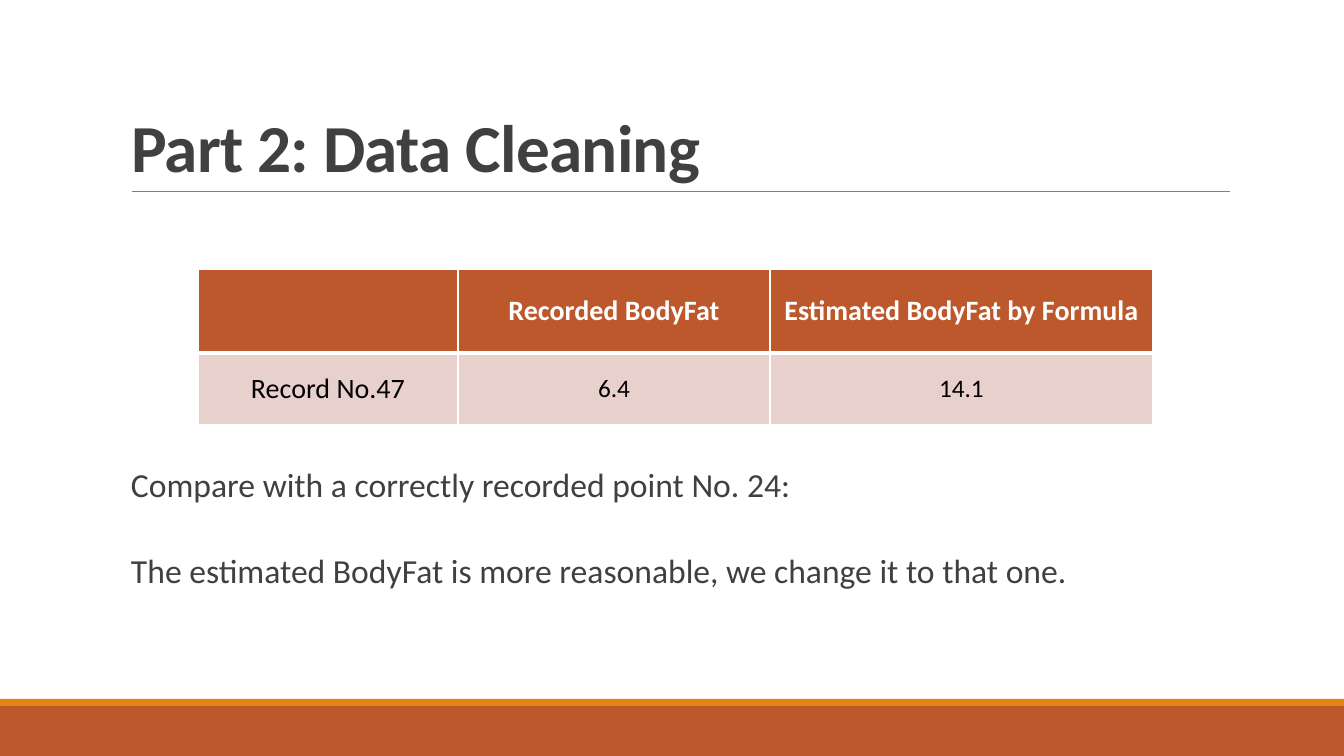
from dataclasses import dataclass
from lxml.etree import SubElement as Sub
from pptx import Presentation
from pptx.dml.color import RGBColor as Rgb
from pptx.enum.shapes import MSO_CONNECTOR as Link, MSO_SHAPE as Shape
from pptx.enum.text import MSO_ANCHOR as Anchor, MSO_AUTO_SIZE as Fit, PP_ALIGN as Align
from pptx.oxml.ns import qn
from pptx.util import Pt

SCALE = 914400 / 100.8  # EMU in one px


@dataclass(frozen=True)
class Theme:
    font: str = "Calibri"
    rust: str = "BD582C"
    gold: str = "E48312"
    pale: str = "E8D1CD"
    rule: str = "808080"
    ink: str = "404040"
    black: str = "000000"
    white: str = "FFFFFF"
    title: int = 48
    body: int = 24
    head: int = 20
    value: int = 18


T = Theme()


def px(*vals):
    return [round(v * SCALE) for v in vals]


def paint(fill, color):
    fill.solid()
    fill.fore_color.rgb = Rgb.from_string(color)


def add_run(para, text, size, color, bold=False):
    run = para.add_run()
    run.text = text
    font = run.font
    font.name, font.size, font.bold = T.font, Pt(size), bold
    font.color.rgb = Rgb.from_string(color)
    return run


def add_band(slide, top, high, color):
    band = slide.shapes.add_shape(Shape.RECTANGLE, *px(0, top, 1344, high))
    band.shadow.inherit = False
    paint(band.fill, color)
    band.line.fill.background()


def add_rule(slide, left, right, y):
    rule = slide.shapes.add_connector(Link.STRAIGHT, *px(left, y, right, y))
    rule.line.width = Pt(0.5)
    paint(rule.line.fill, T.rule)
    Sub(rule._element.spPr, qn("a:effectLst"))


def set_title(slide, text):
    title = slide.shapes.title
    title.left, title.top, title.width, title.height = px(121, 31, 1109, 160)
    frame = title.text_frame
    frame.auto_size, frame.word_wrap = Fit.NONE, True
    frame.vertical_anchor = Anchor.BOTTOM
    para = frame.paragraphs[0]
    para.alignment, para.line_spacing = Align.LEFT, 0.85
    run = add_run(para, text, T.title, T.ink, True)
    run.font._element.set("spc", "-50")


def add_body(slide, lines):
    box = slide.shapes.add_textbox(*px(131, 468, 1099, 202))
    frame = box.text_frame
    frame.word_wrap = True
    frame.margin_left = frame.margin_right = 0
    frame.margin_top = frame.margin_bottom = 0
    for i, text in enumerate(lines):
        para = frame.add_paragraph() if i else frame.paragraphs[0]
        para.line_spacing = 0.9
        if i:
            para.space_before = Pt(36)
        add_run(para, text, T.body, T.ink)


def set_edges(cell, base):
    props = cell._tc.get_or_add_tcPr()
    for side, wide in zip("LRTB", (1, 1, 1, base)):
        edge = Sub(props, qn(f"a:ln{side}"), w=str(Pt(wide)))
        fill = Sub(edge, qn("a:solidFill"))
        Sub(fill, qn("a:srgbClr"), val=T.white)


def fill_cell(cell, text, size, color, back, bold, base):
    set_edges(cell, base)
    paint(cell.fill, back)
    cell.vertical_anchor = Anchor.MIDDLE
    para = cell.text_frame.paragraphs[0]
    para.alignment = Align.CENTER
    if text:
        add_run(para, text, size, color, bold)


def add_grid(slide, head, record):
    cols, rows = (260, 312, 383), (84, 72)
    size = sum(cols), sum(rows)
    grid = slide.shapes.add_table(2, 3, *px(198, 269, *size)).table
    grid.horz_banding = False
    for col, wide in zip(grid.columns, px(*cols)):
        col.width = wide
    for row, high in zip(grid.rows, px(*rows)):
        row.height = high
    for i, text in enumerate(head):
        fill_cell(grid.cell(0, i), text, T.head, T.white, T.rust, True, 3)
    for i, text in enumerate(record):
        size = T.value if i else T.head
        fill_cell(grid.cell(1, i), text, size, T.black, T.pale, False, 1)
    # Both sides of the shared edge carry the thick line
    for cell in grid.rows[1].cells:
        cell._tc.tcPr.find(qn("a:lnT")).set("w", str(Pt(3)))


def main():
    deck = Presentation()
    deck.slide_width, deck.slide_height = px(1344, 756)
    slide = deck.slides.add_slide(deck.slide_layouts[5])
    # Footer bands and title rule
    add_band(slide, 706, 50, T.rust)
    add_band(slide, 699, 7, T.gold)
    add_rule(slide, 132, 1230, 191)
    # Title, text and table
    set_title(slide, "Part 2: Data Cleaning")
    add_body(slide, (
        "Compare with a correctly recorded point No. 24:",
        "The estimated BodyFat is more reasonable, we change it to that one.",
    ))
    add_grid(
        slide,
        ("", "Recorded BodyFat", "Estimated BodyFat by Formula"),
        ("Record No.47", "6.4", "14.1"),
    )
    deck.save("out.pptx")


if __name__ == "__main__":
    main()
